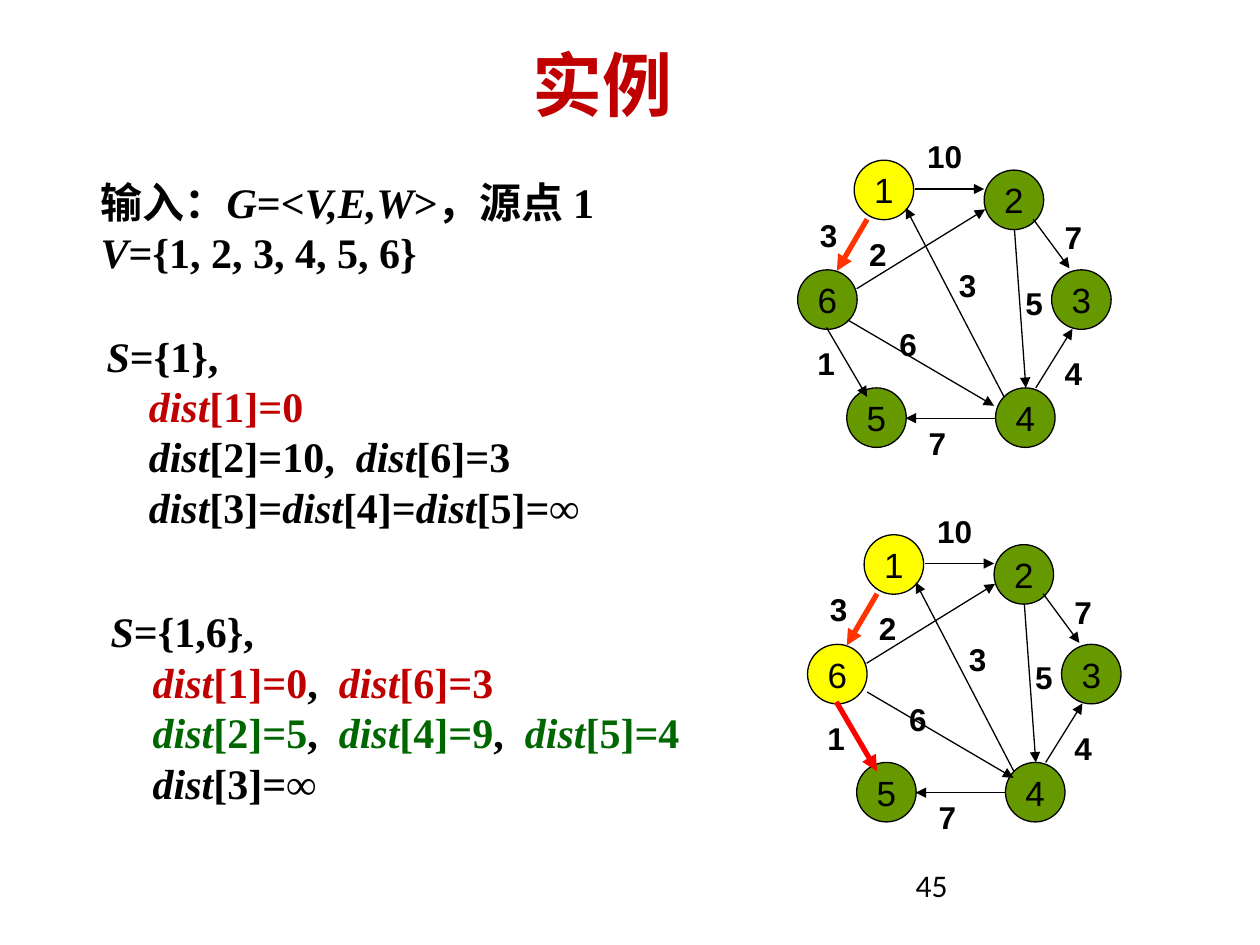
from dataclasses import dataclass

from lxml.etree import SubElement
from pptx import Presentation
from pptx.dml.color import RGBColor as RGB
from pptx.enum.shapes import MSO_CONNECTOR as Connector, MSO_SHAPE as Shape
from pptx.enum.text import MSO_ANCHOR as Anchor, PP_ALIGN as Align
from pptx.oxml.ns import qn
from pptx.util import Cm, Pt


@dataclass(frozen=True)
class Theme:
    black: RGB = RGB(0x00, 0x00, 0x00)
    crimson: RGB = RGB(0xC0, 0x00, 0x00)
    dark_green: RGB = RGB(0x00, 0x66, 0x00)
    node_green: RGB = RGB(0x66, 0x99, 0x00)
    node_yellow: RGB = RGB(0xFF, 0xFF, 0x00)
    orange: RGB = RGB(0xFF, 0x33, 0x00)
    red: RGB = RGB(0xFF, 0x00, 0x00)
    heading_font: str = "Calibri"
    body_font: str = "Times New Roman"
    graph_font: str = "Arial"
    title_size: Pt = Pt(40)
    body_size: Pt = Pt(24)
    node_size: Pt = Pt(20)
    label_size: Pt = Pt(18)
    thin: Pt = Pt(0.75)
    thick: Pt = Pt(3)


THEME = Theme()
NODE_DIAMETER = 1.2
STEP_INDENT = 0.85

# Positions in cm from the graph's own origin
NODES = {
    1: (1.22, 0.73),
    2: (3.84, 0.93),
    3: (5.2, 2.94),
    4: (4.07, 5.32),
    5: (1.07, 5.32),
    6: (0.08, 2.94),
}
# (from, to): weight, start point, end point, corner of the weight's box
EDGES = {
    (1, 2): (10, (2.44, 1.31), (3.84, 1.31), (2.44, 0.14)),
    (1, 6): (3, (1.48, 1.92), (0.87, 2.96), (0.28, 1.72)),
    (6, 2): (2, (1.27, 3.32), (3.86, 1.72), (1.27, 2.1)),
    (2, 3): (7, (4.83, 1.92), (5.56, 2.91), (5.21, 1.77)),
    (2, 4): (5, (4.45, 2.12), (4.68, 5.32), (4.42, 3.09)),
    (4, 1): (3, (4.24, 5.5), (2.26, 1.69), (3.08, 2.73)),
    (4, 3): (4, (4.88, 5.32), (5.62, 4.13), (5.21, 4.51)),
    (4, 5): (7, (4.07, 5.93), (2.26, 5.93), (2.47, 5.91)),
    (6, 4): (6, (1.09, 3.95), (4.04, 5.68), (1.88, 3.93)),
    (6, 5): (1, (0.66, 4.1), (1.48, 5.5), (0.23, 4.31)),
}


def style(paragraph, font, size, color=THEME.black, bold=False):
    paragraph.font.name = font
    paragraph.font.size = size
    paragraph.font.color.rgb = color
    paragraph.font.bold = bold


def add_text_box(shapes, left, top, width, height):
    box = shapes.add_textbox(Cm(left), Cm(top), Cm(width), Cm(height))
    box.text_frame.word_wrap = True
    return box.text_frame


def add_line_of_text(shapes, text, position, *font, align=Align.LEFT):
    frame = add_text_box(shapes, *position)
    frame.vertical_anchor = Anchor.MIDDLE
    paragraph = frame.paragraphs[0]
    paragraph.text = text
    paragraph.alignment = align
    style(paragraph, *font)


def add_formulas(shapes, position, lines, indent=0):
    """Write lines of (text, colour) parts; *stars* enclose italics.

    Every line after the first is indented by the given number of cm.
    """
    frame = add_text_box(shapes, *position)
    for number, parts in enumerate(lines):
        paragraph = frame.add_paragraph() if number else frame.paragraphs[0]
        style(paragraph, THEME.body_font, THEME.body_size, bold=True)
        if number and indent:
            paragraph._p.get_or_add_pPr().set("marL", str(Cm(indent)))
        for text, color in parts:
            for index, piece in enumerate(text.split("*")):
                if piece:
                    run = paragraph.add_run()
                    run.text = piece
                    run.font.italic = index % 2 == 1
                    run.font.color.rgb = color


def add_node(shapes, number, left, top, color):
    diameter = Cm(NODE_DIAMETER)
    node = shapes.add_shape(Shape.OVAL, Cm(left), Cm(top), diameter, diameter)
    node.shadow.inherit = False
    node.fill.solid()
    node.fill.fore_color.rgb = color
    node.line.color.rgb = THEME.black
    node.line.width = THEME.thin
    frame = node.text_frame
    frame.word_wrap = False
    frame.vertical_anchor = Anchor.MIDDLE
    paragraph = frame.paragraphs[0]
    paragraph.text = str(number)
    paragraph.alignment = Align.CENTER
    style(paragraph, THEME.graph_font, THEME.node_size)


def add_arrow(shapes, start, end, color, width):
    points = [Cm(value) for value in (*start, *end)]
    arrow = shapes.add_connector(Connector.STRAIGHT, *points)
    arrow.line.color.rgb = color
    arrow.line.width = width
    properties = arrow._element.spPr
    SubElement(properties.find(qn("a:ln")), qn("a:tailEnd"), type="triangle")
    SubElement(properties, qn("a:effectLst"))


def add_graph(slide, origin, visited, chosen, nudges=None):
    """Draw the graph; chosen maps an edge to its colour, nudges to a shift."""
    shapes = slide.shapes.add_group_shape().shapes

    def place(point, shift=(0, 0)):
        return [sum(values) for values in zip(origin, point, shift)]

    for number, corner in NODES.items():
        color = THEME.node_yellow if number in visited else THEME.node_green
        add_node(shapes, number, *place(corner), color)
    for edge, (weight, start, end, corner) in EDGES.items():
        shift = (nudges or {}).get(edge, (0, 0))
        width = THEME.thick if edge in chosen else THEME.thin
        add_arrow(shapes, place(start, shift), place(end, shift),
                  chosen.get(edge, THEME.black), width)
        add_line_of_text(shapes, str(weight), (*place(corner), 1.4, 1.02),
                         THEME.graph_font, THEME.label_size, THEME.black, True)


def main():
    black, crimson, green = THEME.black, THEME.crimson, THEME.dark_green
    presentation = Presentation()
    presentation.slide_width = Cm(25.4)
    presentation.slide_height = Cm(19.05)
    slide = presentation.slides.add_slide(presentation.slide_layouts[6])
    shapes = slide.shapes

    add_line_of_text(shapes, "实例", (0.71, 0.81, 22.86, 1.75),
                     THEME.heading_font, THEME.title_size, crimson, True,
                     align=Align.CENTER)
    add_formulas(shapes, (1.78, 3.43, 13.28, 2.31), [
        [("输入：*G*=<*V,E,W*>，源点 1", black)],
        [("*V*={1, 2, 3, 4, 5, 6}", black)],
    ])
    add_formulas(shapes, (1.9, 6.53, 11.4, 5.38), [
        [("*S*={1},", black)],
        [("*dist*[1]=0", crimson)],
        [("*dist*[2]=10,  *dist*[6]=3", black)],
        [("*dist*[3]=*dist*[4]=*dist*[5]=∞", black)],
    ], STEP_INDENT)
    add_formulas(shapes, (1.98, 12.09, 12.7, 4.37), [
        [("*S*={1,6},", black)],
        [("*dist*[1]=0", crimson), (",  ", black), ("*dist*[6]=3", crimson)],
        [("*dist*[2]=5", green), (",  ", black), ("*dist*[4]=9", green),
         (",  ", black), ("*dist*[5]=4", green)],
        [("*dist*[3]=∞", black)],
    ], STEP_INDENT)

    add_graph(slide, (16, 2.5), {1}, {(1, 6): THEME.orange})
    add_graph(slide, (16.2, 10.05), {1, 6},
              {(1, 6): THEME.orange, (6, 5): THEME.red},
              nudges={(6, 4): (0.19, -0.05)})
    add_line_of_text(shapes, "45", (18.21, 17.32, 5.92, 1.02),
                     THEME.heading_font, THEME.label_size)
    presentation.save("out.pptx")


if __name__ == "__main__":
    main()
